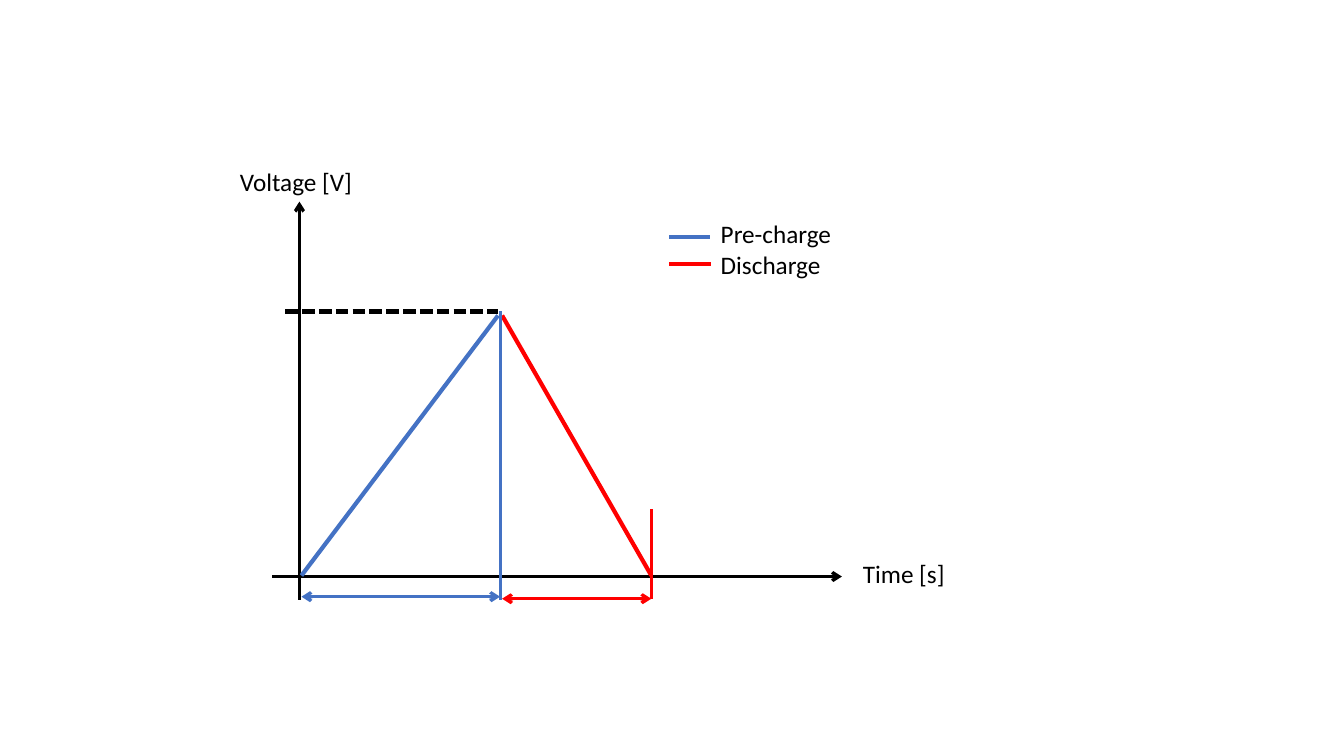
from dataclasses import dataclass

from lxml.etree import SubElement
from pptx import Presentation
from pptx.dml.color import RGBColor
from pptx.enum.dml import MSO_LINE
from pptx.enum.shapes import MSO_CONNECTOR
from pptx.enum.text import MSO_AUTO_SIZE
from pptx.oxml.ns import qn
from pptx.util import Inches, Pt


@dataclass(frozen=True)
class Theme:
    font: str = "Calibri"
    text_size: float = 18
    thin: float = 2.25
    thick: float = 3
    ink: str = "000000"
    precharge: str = "4472C4"
    discharge: str = "FF0000"


THEME = Theme()

# Key positions of the diagram, in inches
Y_AXIS, X_AXIS = 2.97, 5.72
PEAK_X, PEAK_Y = 4.96, 3.09
END_X = 6.46
TICK_BOTTOM = 5.95
SLOPE_TOP, SLOPE_BOTTOM = 3.13, 5.71
GAP = 0.02
LEGEND_X = 6.64


def add_line(slide, start, end, color, width=THEME.thin, dash=None, arrows=()):
    """Draw a straight line; arrows lists the ends ("head", "tail") that carry one."""
    line = slide.shapes.add_connector(
        MSO_CONNECTOR.STRAIGHT, *(Inches(v) for v in (*start, *end)))
    line.line.color.rgb = RGBColor.from_string(color)
    line.line.width = Pt(width)
    if dash:
        line.line.dash_style = dash
    sp_pr = line._element.spPr
    for arrow in arrows:
        SubElement(sp_pr.find(qn("a:ln")), qn(f"a:{arrow}End"), type="arrow")
    SubElement(sp_pr, qn("a:effectLst"))
    return line


def add_text(slide, text, left, top, width, height, *, size=THEME.text_size,
             color=THEME.ink, font=THEME.font):
    box = slide.shapes.add_textbox(*(Inches(v) for v in (left, top, width, height)))
    tf = box.text_frame
    tf.word_wrap = True
    tf.auto_size = MSO_AUTO_SIZE.SHAPE_TO_FIT_TEXT
    tf.text = text
    for p in tf.paragraphs:
        for r in p.runs:
            r.font.size = Pt(size)
            r.font.name = font
            r.font.color.rgb = RGBColor.from_string(color)
    return box


def add_axes(slide):
    add_line(slide, (Y_AXIS, TICK_BOTTOM), (Y_AXIS, 2), THEME.ink, arrows=["tail"])
    add_line(slide, (2.7, X_AXIS), (8.35, X_AXIS), THEME.ink, arrows=["tail"])
    add_text(slide, "Time [s]", 8.46, 5.49, 1.1, 0.4)
    add_text(slide, "Voltage [V]", 2.28, 1.6, 1.39, 0.4)


def add_phase(slide, color, slope, tick, span):
    """Draw one phase: its voltage slope, its end tick and its duration arrow."""
    add_line(slide, *slope, color, THEME.thick)
    add_line(slide, *tick, color)
    add_line(slide, *span, color, arrows=["head", "tail"])


def add_legend(slide):
    add_text(slide, "Pre-charge\nDischarge", 7.05, 2.12, 1.39, 1.01)
    for y, right, color in ((2.35, 7.04, THEME.precharge), (2.62, 7.05, THEME.discharge)):
        add_line(slide, (LEGEND_X, y), (right, y), color, THEME.thick)


def main():
    prs = Presentation()
    prs.slide_width, prs.slide_height = Inches(13.33), Inches(7.5)
    slide = prs.slides.add_slide(prs.slide_layouts[6])

    add_axes(slide)
    start_x = Y_AXIS + GAP
    fall_x = PEAK_X + GAP
    add_phase(slide, THEME.discharge,
              slope=((fall_x, SLOPE_TOP), (END_X, SLOPE_BOTTOM)),
              tick=((END_X, 5.05), (END_X, 5.94)),
              span=((fall_x, 5.94), (END_X, 5.94)))
    add_phase(slide, THEME.precharge,
              slope=((PEAK_X - GAP, SLOPE_TOP), (start_x, SLOPE_BOTTOM)),
              tick=((PEAK_X, PEAK_Y), (PEAK_X, TICK_BOTTOM)),
              span=((start_x, 5.92), (PEAK_X, 5.92)))
    add_legend(slide)
    add_line(slide, (2.83, PEAK_Y), (PEAK_X - GAP, PEAK_Y), THEME.ink,
             THEME.thick, dash=MSO_LINE.SQUARE_DOT)

    prs.save("out.pptx")


if __name__ == "__main__":
    main()
